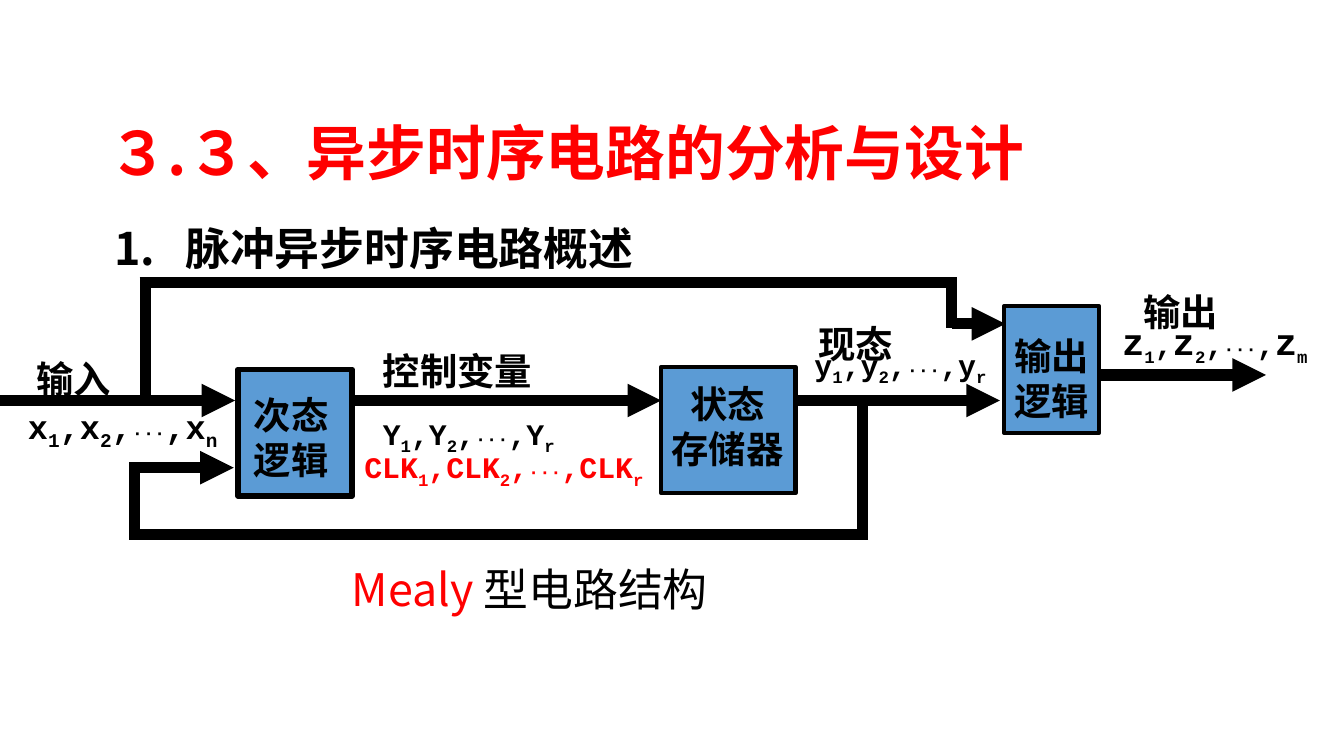
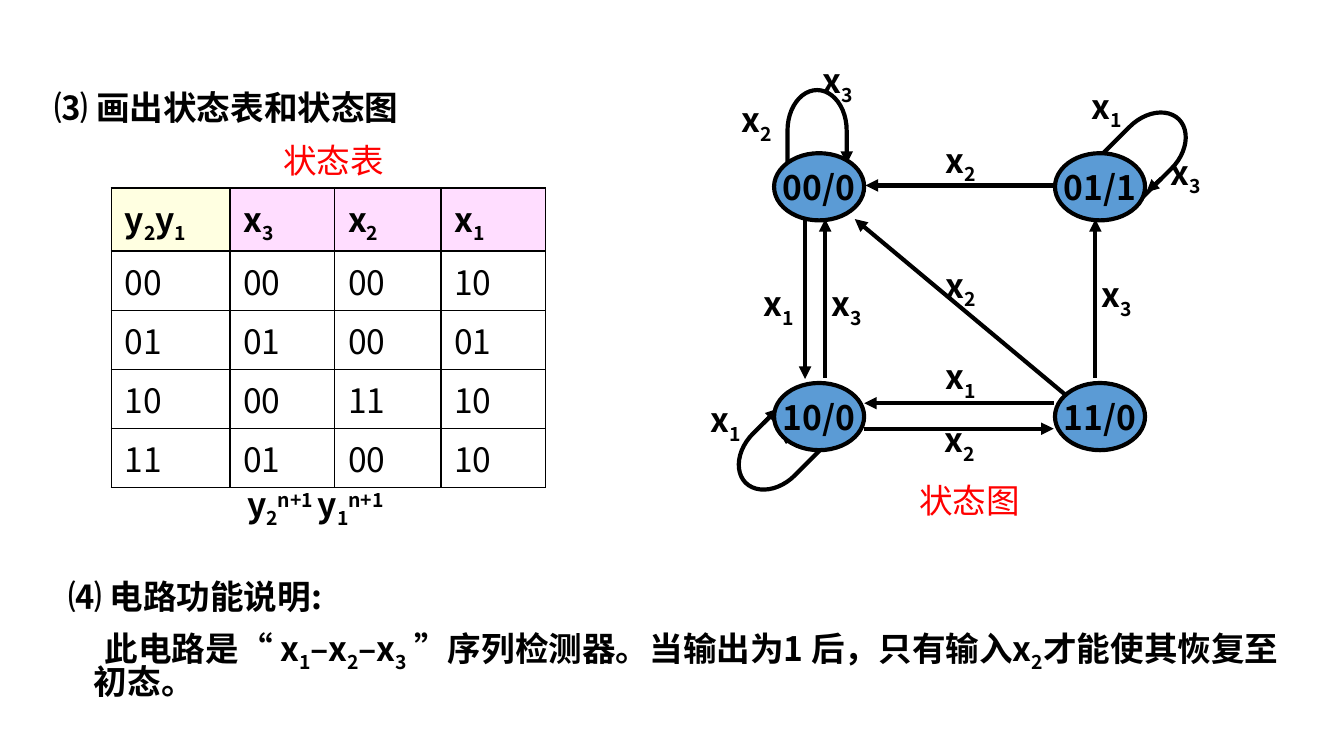
import itertools
from typing import Any, NamedTuple

import lxml.etree
import pptx
import pptx.dml.color
import pptx.enum.shapes
import pptx.enum.text
import pptx.oxml.ns
import pptx.util

Inches, Pt = pptx.util.Inches, pptx.util.Pt
qn = pptx.oxml.ns.qn
Shape = pptx.enum.shapes.MSO_SHAPE
Align = pptx.enum.text.PP_ALIGN
Anchor = pptx.enum.text.MSO_ANCHOR

BLACK, RED, WHITE, BLUE = "000000", "FF0000", "FFFFFF", "5B9BD5"
YELLOW, PINK = "FFFFE1", "FFDDFF"
JP, SC, MONO = "Noto Sans CJK JP", "Noto Sans CJK SC", "Courier New"


class Label(NamedTuple):
    """Text in a box, with its format."""
    text: str
    x: float
    y: float
    w: float
    h: float
    fmt: dict[str, Any]


class Block(NamedTuple):
    """A rectangle of the circuit."""
    x: float
    y: float
    w: float
    h: float
    weight: float


class Wire(NamedTuple):
    """A straight line, with an arrowhead at its end when asked."""
    x1: float
    y1: float
    x2: float
    y2: float
    arrow: bool = True


class Loop(NamedTuple):
    """A transition from a state back to itself."""
    x: float
    y: float
    angle: float


def rgb(value: str) -> pptx.dml.color.RGBColor:
    """Turn a hex string into a colour."""
    return pptx.dml.color.RGBColor.from_string(value)


def write(tf, text: str, *, size: float = 18, font: str = SC, color: str = BLACK,
          bold: bool = True, align=Align.LEFT, spacing: float | None = None,
          before: int = 0, left: float = 0, indent: float = 0) -> None:
    """Add paragraphs; {_a} is subscript, {^a} superscript, {.a} small, {+a} large, {!a} red."""
    for line in text.split("\n"):
        p = tf.add_paragraph() if tf.text else tf.paragraphs[0]
        p.alignment = align
        if spacing:
            p.line_spacing = spacing
        if before:
            p.space_before = Pt(0)
            spc = p._p.pPr.find(qn("a:spcBef"))
            spc.clear()
            lxml.etree.SubElement(spc, qn("a:spcPct"), val=str(before * 1000))
        if left:
            p._p.pPr.set("marL", str(Inches(left)))
            p._p.pPr.set("indent", str(Inches(indent)))
        for chunk in line.replace("}", "{").split("{"):
            if not chunk:
                continue
            mark = chunk[0] if chunk[0] in "_^.+!" else ""
            r = p.add_run()
            r.text = chunk[len(mark):]
            r.font.size = Pt({".": 10, "+": 20}.get(mark, size))
            r.font.bold = bold
            r.font.color.rgb = rgb(RED if mark == "!" else color)
            r.font.name = font
            rpr = r._r.get_or_add_rPr()
            lxml.etree.SubElement(rpr, qn("a:ea"), typeface=font)
            if mark in ("_", "^"):
                rpr.set("baseline", "-25000" if mark == "_" else "30000")


def add_box(s, x: float, y: float, w: float, h: float):
    """Add a wrapping text box and return its text frame."""
    tf = s.shapes.add_textbox(Inches(x), Inches(y), Inches(w), Inches(h)).text_frame
    tf.word_wrap = True
    return tf


def add_label(s, label: Label) -> None:
    """Add one formatted label."""
    write(add_box(s, *label[1:5]), label.text, **label.fmt)


def add_shape(s, kind, x: float, y: float, w: float, h: float,
              weight: float = 2.25, fill: str | None = BLUE):
    """Add a preset shape with a black outline."""
    sp = s.shapes.add_shape(kind, Inches(x), Inches(y), Inches(w), Inches(h))
    sp.shadow.inherit = False
    if fill:
        sp.fill.solid()
        sp.fill.fore_color.rgb = rgb(fill)
    else:
        sp.fill.background()
    sp.line.color.rgb = rgb(BLACK)
    sp.line.width = Pt(weight)
    return sp


def add_wire(s, wire: Wire, weight: float) -> None:
    """Add a straight connector."""
    c = s.shapes.add_connector(pptx.enum.shapes.MSO_CONNECTOR.STRAIGHT,
                               *(Inches(v) for v in wire[:4]))
    c.line.color.rgb = rgb(BLACK)
    c.line.width = Pt(weight)
    if wire.arrow:
        lxml.etree.SubElement(c.line._get_or_add_ln(), qn("a:tailEnd"), type="triangle")
    lxml.etree.SubElement(c._element.spPr, qn("a:effectLst"))


def style_cell(cell, text: str, fill: str, bold: bool) -> None:
    """Give a cell its text, borders and fill."""
    tcpr = cell._tc.get_or_add_tcPr()
    for side in "LRTB":
        ln = lxml.etree.SubElement(tcpr, qn(f"a:ln{side}"), w=str(Pt(1)))
        solid = lxml.etree.SubElement(ln, qn("a:solidFill"))
        lxml.etree.SubElement(solid, qn("a:srgbClr"), val=BLACK)
    cell.fill.solid()
    cell.fill.fore_color.rgb = rgb(fill)
    cell.vertical_anchor = Anchor.MIDDLE
    cell.margin_left = cell.margin_right = Inches(0.1)
    cell.margin_top = cell.margin_bottom = Inches(0.04)
    write(cell.text_frame, text, bold=bold, before=20)


def add_state_table(s) -> None:
    """Add the table of next states."""
    rows = [("y{_2}y{_1}", "x{_3}", "x{_2}", "x{_1}"),
            ("00", "00", "00", "10"),
            ("01", "01", "00", "01"),
            ("10", "00", "11", "10"),
            ("11", "01", "00", "10")]
    table = s.shapes.add_table(5, 4, Inches(0.83), Inches(1.4),
                               Inches(3.23), Inches(2.23)).table
    for col, width in zip(table.columns, (0.88, 0.78, 0.79, 0.78)):
        col.width = Inches(width)
    for i, row in enumerate(rows):
        table.rows[i].height = Inches(0.44 if i else 0.47)
        for j, text in enumerate(row):
            fill = WHITE if i else PINK if j else YELLOW
            style_cell(table.cell(i, j), text, fill, i == 0)


def build_circuit(s) -> None:
    """Draw the Mealy circuit structure."""
    title = add_box(s, 0.03, 0.82, 8.47, 0.62)
    title.vertical_anchor = Anchor.MIDDLE
    write(title, "３.３、异步时序电路的分析与设计 ", size=32, font=JP, color=RED,
          align=Align.CENTER)
    blocks = [Block(7.47, 2.28, 0.71, 0.94, 2.25), Block(4.92, 2.73, 1, 0.94, 2.25),
              Block(1.77, 2.75, 0.85, 0.94, 3)]
    wires = [
        Wire(0, 2.98, 1.75, 2.98), Wire(1.08, 2.98, 1.08, 2.1, False),
        Wire(1.04, 2.1, 7.12, 2.1, False), Wire(7.08, 2.13, 7.08, 2.44, False),
        Wire(7.08, 2.41, 7.48, 2.41), Wire(2.62, 2.98, 4.92, 2.98),
        Wire(5.94, 2.98, 7.44, 2.98), Wire(6.42, 2.98, 6.42, 3.98, False),
        Wire(0.96, 3.98, 6.46, 3.98, False), Wire(1, 3.48, 1, 3.98, False),
        Wire(0.96, 3.48, 1.74, 3.48), Wire(8.17, 2.79, 9.42, 2.79)]
    name = dict(size=20, font=JP, align=Align.JUSTIFY)
    centred = name | dict(align=Align.CENTER)
    signal = dict(size=16, font=MONO)
    middle = signal | dict(align=Align.CENTER)
    labels = [
        Label("1.\t脉冲异步时序电路概述", 0.75, 1.47, 6.42, 0.56,
              dict(size=24, font=JP, spacing=1.3, before=20, left=0.53, indent=-0.53)),
        Label("{!Mealy }型电路结构", 2.52, 4.13, 2.91, 0.38,
              name | dict(size=24, bold=False)),
        Label("输入", 0.17, 2.6, 0.92, 0.32, name),
        Label("控制变量", 2.75, 2.54, 1.5, 0.38, name),
        Label("现态", 5.99, 2.34, 0.84, 0.38, name),
        Label("输出", 8.41, 2.1, 1, 0.36, name),
        Label("输出\n逻辑", 7.45, 2.43, 0.94, 0.59, name),
        Label("状态\n存储器", 4.85, 2.79, 1.13, 0.6, centred),
        Label("次态\n逻辑", 1.79, 2.87, 0.88, 0.6, name),
        Label("x{_1},x{_2},{.···},x{_n}", 0.11, 2.97, 1.64, 0.34, signal | dict(size=18)),
        Label("CLK{_1},CLK{_2},{.···},CLK{_r}", 2.5, 3.29, 2.5, 0.31,
              middle | dict(color=RED)),
        Label("y{_1},y{_2},{.···},y{_r}", 5.56, 2.53, 2.28, 0.31, middle),
        Label("{+z}{_1},{+z}{_2},{.···},{+z}{_m}", 8.25, 2.32, 1.75, 0.43, signal),
        Label("Y{_1},Y{_2},{.···},Y{_r}", 2.75, 3.04, 1.81, 0.31, signal)]
    for block in blocks:
        add_shape(s, Shape.RECTANGLE, *block)
    for wire in wires:
        add_wire(s, wire, 6)
    for label in labels:
        add_label(s, label)


def build_states(s) -> None:
    """Draw the state table, the state diagram and the conclusion."""
    caption = dict(font=JP, color=RED, bold=False, before=50)
    labels = [
        Label("⑶ 画出状态表和状态图", 0.31, 0.63, 4.92, 0.5, dict(font=JP, spacing=0.9)),
        Label("y{_2}{^n+1 }y{_1}{^n+1}", 1.74, 3.55, 1.75, 0.45, dict(before=50)),
        Label("状态图", 6.74, 3.52, 1.67, 0.4, caption),
        Label("状态表", 2.01, 0.99, 1.25, 0.4, caption)]
    inputs = [(2, 6.94, 0.99), (2, 6.94, 1.92), (1, 6.94, 2.6), (2, 6.93, 3.07),
              (3, 8.1, 1.99), (1, 5.58, 2.06), (3, 6.09, 2.06), (2, 5.42, 0.69),
              (3, 6.02, 0.4), (1, 8.02, 0.59), (3, 8.61, 1.08), (1, 5.19, 2.92)]
    labels += [Label(f"x{{_{n}}}", x, y, 0.75, 0.44, dict(before=50)) for n, x, y in inputs]
    loops = [Loop(5.78, 0.75, 270), Loop(5.46, 3.16, 135), Loop(8.26, 0.88, 315)]
    wires = [
        Wire(8.15, 2.81, 8.15, 1.63), Wire(7.93, 2.94, 6.36, 1.63),
        Wire(7.85, 1.38, 6.44, 1.38), Wire(5.99, 1.64, 5.99, 2.82),
        Wire(7.84, 3, 6.43, 3), Wire(6.43, 3.19, 7.84, 3.19),
        Wire(6.14, 2.81, 6.14, 1.63), Wire(6.3, 1.09, 6.3, 1.22),
        Wire(5.84, 3.29, 6.06, 3.16), Wire(5.68, 3.15, 5.79, 3.04),
        Wire(8.64, 1.33, 8.53, 1.43)]
    body = add_box(s, 0.41, 4.32, 9.29, 1.25)
    write(body, "⑷ 电路功能说明:", font=JP, spacing=0.7, before=50, left=0.19, indent=-0.19)
    write(body, "此电路是“ x{_1}–x{_2}–x{_3} ”序列检测器。当输出为1 后，"
          "只有输入x{_2}才能使其恢复至初态。",
          font=JP, spacing=0.8, before=50, left=0.19, indent=0.08)
    add_state_table(s)
    for label in labels:
        add_label(s, label)
    for loop in loops:
        sp = add_shape(s, Shape.FLOWCHART_DELAY, loop.x, loop.y, 0.6, 0.44, fill=None)
        sp.rotation = loop.angle
    for wire in wires:
        add_wire(s, wire, 2.25)
    places = itertools.product((1.14, 2.85), (5.76, 7.85))
    for state, (y, x) in zip(("00/0", "01/1", "10/0", "11/0"), places):
        tf = add_shape(s, Shape.OVAL, x, y, 0.67, 0.5).text_frame
        tf.word_wrap = False
        tf.vertical_anchor = Anchor.MIDDLE
        write(tf, state, align=Align.CENTER)


def main() -> None:
    """Build and save the presentation."""
    prs = pptx.Presentation()
    prs.slide_width = Inches(10)
    prs.slide_height = prs.slide_width * 9 // 16
    for build in (build_circuit, build_states):
        build(prs.slides.add_slide(prs.slide_layouts[6]))
    prs.save("out.pptx")


if __name__ == "__main__":
    main()
